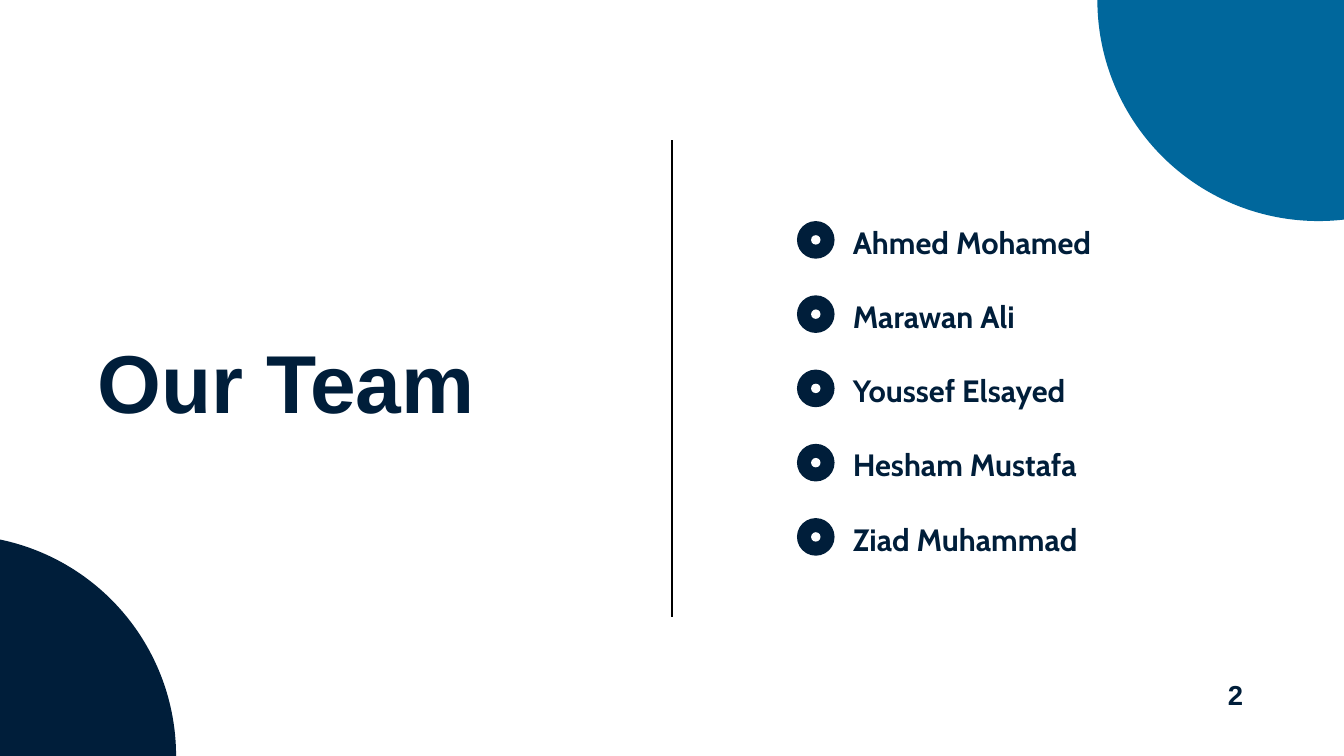
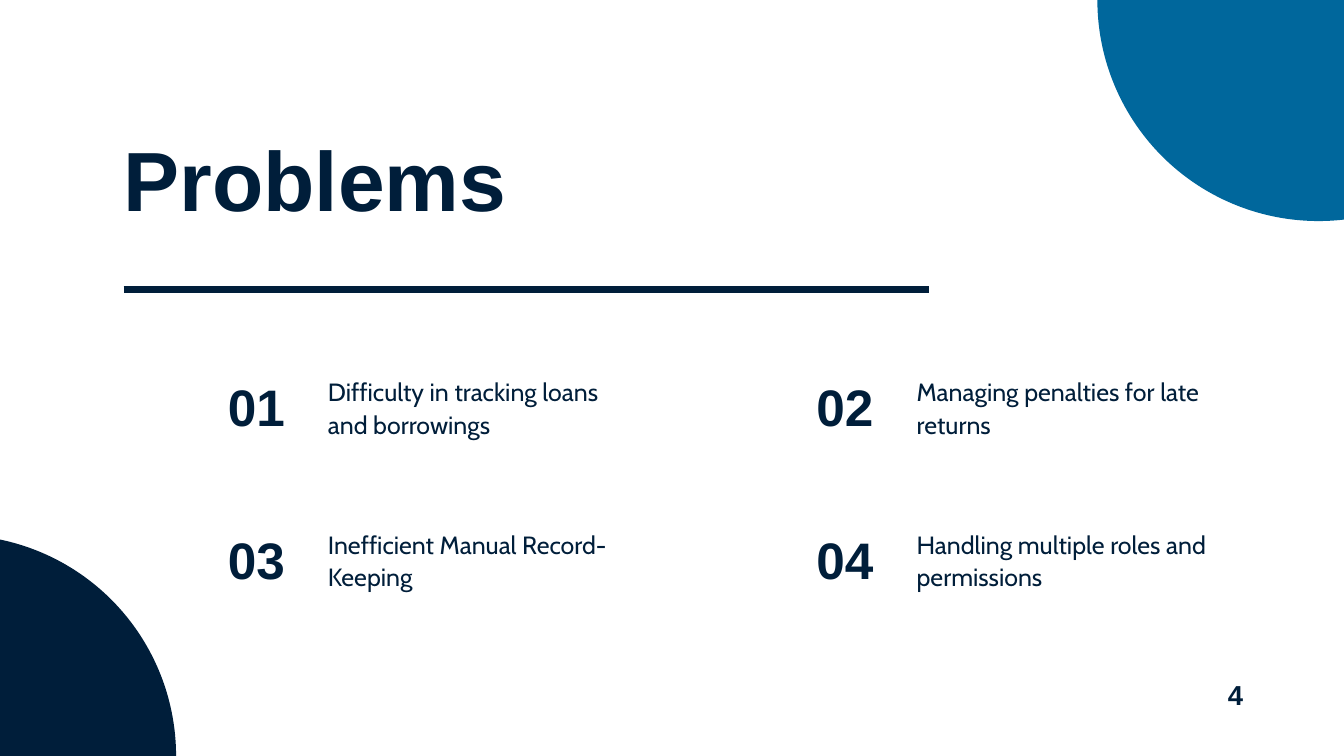
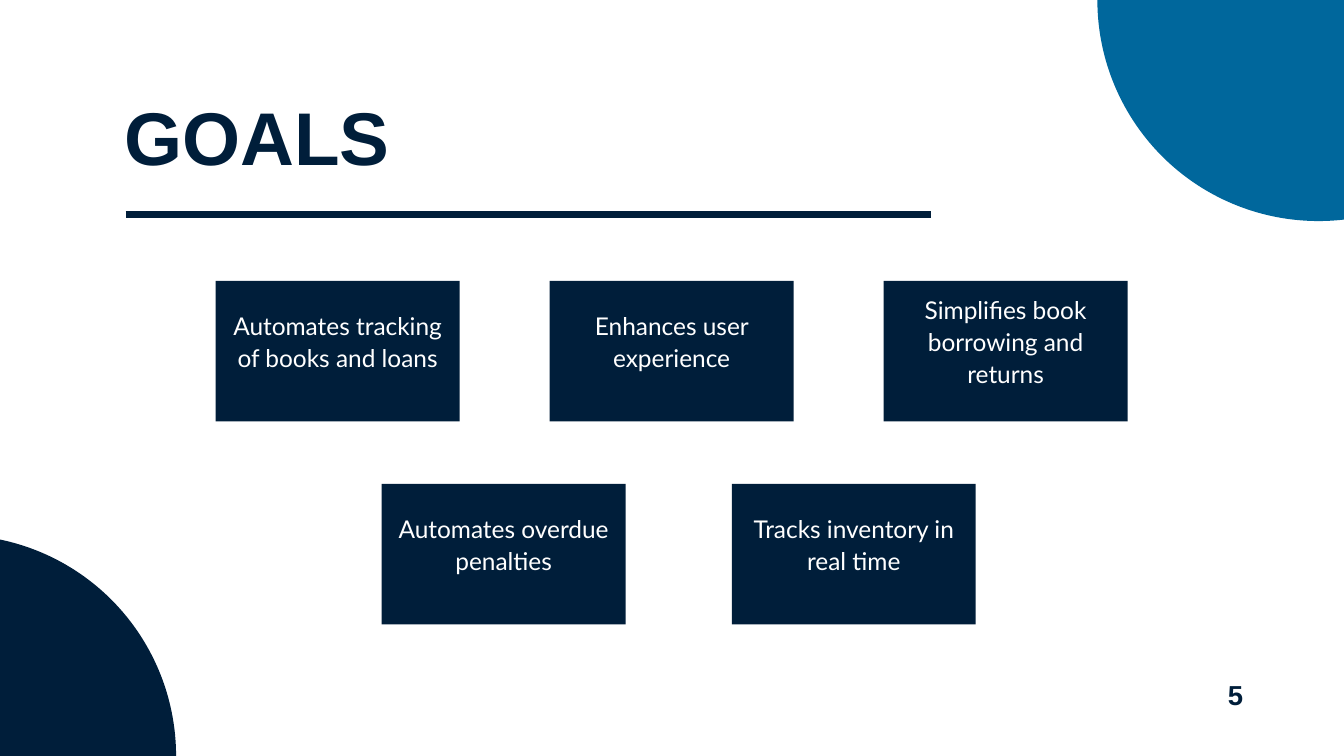
from dataclasses import dataclass

from lxml.etree import SubElement
from pptx import Presentation
from pptx.dml.color import RGBColor as RGB
from pptx.enum.shapes import MSO_CONNECTOR as LINK, MSO_SHAPE as SHAPE
from pptx.enum.text import MSO_ANCHOR as ANCHOR, MSO_AUTO_SIZE as AUTO, PP_ALIGN as ALIGN
from pptx.oxml.ns import qn
from pptx.util import Inches, Pt


@dataclass(frozen=True)
class Type:
    font: str
    size: float
    lead: float
    color: RGB
    bold: bool = False


class Theme:
    navy = RGB(0x00, 0x1E, 0x3A)
    blue = RGB(0x00, 0x67, 0x9C)
    white = RGB(0xFF, 0xFF, 0xFF)
    black = RGB(0x00, 0x00, 0x00)

    team = Type("Arial", 88, 96.8, navy, True)
    head = Type("Arial", 90, 108, navy, True)
    caps = Type("Arial", 80, 88, navy, True)
    name = Type("Cabin", 33, 46.2, navy, True)
    count = Type("Arial", 55, 66, navy, True)
    body = Type("Cabin", 26.7, 34.7, navy)
    card = Type("Lato", 26.2, 34, white)
    page = Type("Arial", 29.4, 24.4, navy, True)


class Deck:
    """Holds the presentation, the theme and the current slide."""

    def __init__(self, theme):
        self.theme = theme
        self.show = Presentation()
        self.show.slide_width = Inches(20)
        self.show.slide_height = Inches(11.25)
        self.slide = None

    def start(self, page, layout):
        """Add a slide with its corner discs and page number."""
        self.slide = self.show.slides.add_slide(self.show.slide_layouts[layout])
        self.disc(19.62, 0, 3.29, self.theme.blue)
        self.disc(-0.67, 11.25, 3.29, self.theme.navy)
        self.text(page, 18.08, 10.24, 0.61, 0.37, self.theme.page, ALIGN.CENTER)

    def letter(self, frame, text, style, align=ALIGN.LEFT, gap=0,
               anchor=ANCHOR.TOP, inset=(0, 0, 0, 0)):
        """Set the text of a frame and format its runs."""
        frame.text = text
        frame.word_wrap = True
        frame.auto_size = AUTO.NONE
        frame.vertical_anchor = anchor
        (frame.margin_left, frame.margin_top,
         frame.margin_right, frame.margin_bottom) = map(Inches, inset)
        for par in frame.paragraphs:
            par.alignment = align
            par.line_spacing = Pt(style.lead)
            par.space_before = Pt(0)
            par.space_after = Pt(gap)
            for run in par.runs:
                run.font.name = style.font
                run.font.size = Pt(style.size)
                run.font.bold = style.bold
                run.font.color.rgb = style.color

    def place(self, shape, x, y, w, h):
        shape.left, shape.top = Inches(x), Inches(y)
        shape.width, shape.height = Inches(w), Inches(h)

    def title(self, text, x, y, w, h, style):
        shape = self.slide.shapes.title
        self.place(shape, x, y, w, h)
        self.letter(shape.text_frame, text, style)

    def names(self, items, x, y, w, h, gap):
        """Fill the body placeholder, without its own bullets."""
        shape = self.slide.placeholders[1]
        self.place(shape, x, y, w, h)
        self.letter(shape.text_frame, "\n".join(items), self.theme.name, gap=gap)
        for par in shape.text_frame.paragraphs:
            props = par._p.get_or_add_pPr()
            props.set("marL", "0")
            props.set("indent", "0")
            SubElement(props, qn("a:buNone"))

    def text(self, text, x, y, w, h, style, align=ALIGN.LEFT):
        box = self.slide.shapes.add_textbox(Inches(x), Inches(y), Inches(w), Inches(h))
        self.letter(box.text_frame, text, style, align)

    def shape(self, kind, x, y, w, h, color):
        shape = self.slide.shapes.add_shape(
            kind, Inches(x), Inches(y), Inches(w), Inches(h))
        shape.shadow.inherit = False
        shape.fill.solid()
        shape.fill.fore_color.rgb = color
        shape.line.fill.background()
        return shape

    def disc(self, x, y, r, color):
        """Draw a circle around the centre x, y."""
        self.shape(SHAPE.OVAL, x - r, y - r, 2 * r, 2 * r, color)

    def card(self, text, x, y, w, h):
        box = self.shape(SHAPE.RECTANGLE, x, y, w, h, self.theme.navy)
        # The deeper lower inset lifts the text above the middle
        self.letter(box.text_frame, text, self.theme.card, ALIGN.CENTER,
                    anchor=ANCHOR.MIDDLE, inset=(0.25, 0, 0.25, 0.32))

    def rule(self, x1, y1, x2, y2, color, width):
        line = self.slide.shapes.add_connector(
            LINK.STRAIGHT, Inches(x1), Inches(y1), Inches(x2), Inches(y2))
        line.line.color.rgb = color
        line.line.width = Pt(width)
        SubElement(line._element.spPr, qn("a:effectLst"))


def team(deck):
    look = deck.theme
    deck.start("2", layout=1)
    deck.title("Our Team", 1.45, 5.05, 7.72, 1.36, look.team)
    deck.rule(10, 9.18, 10, 2.08, look.black, 3)

    # Names share one pitch with their ring markers
    people = ["Ahmed Mohamed", "Marawan Ali", "Youssef Elsayed",
              "Hesham Mustafa", "Ziad Muhammad"]
    pitch = 4.42 / (len(people) - 1)
    deck.names(people, 12.69, 3.23, 4.43, 5.04, pitch * 72 - look.name.lead)
    for i in range(len(people)):
        y = 3.57 + i * pitch
        deck.disc(12.14, y, 0.28, look.navy)
        deck.disc(12.14, y, 0.07, look.white)


def issues(deck):
    look = deck.theme
    deck.start("4", layout=5)
    deck.title("Problems", 1.84, 1.89, 13.95, 1.5, look.head)
    deck.rule(1.84, 4.31, 13.83, 4.31, look.navy, 8.25)

    # Two by two grid of numbered points
    points = ["Difficulty in tracking loans and borrowings",
              "Managing penalties for late returns",
              "Inefficient Manual Record-Keeping",
              "Handling multiple roles and permissions"]
    for i, point in enumerate(points):
        row, col = divmod(i, 2)
        x, y = 3.39 + col * 8.76, 5.59 + row * 2.27
        deck.text(f"{i + 1:02}", x, y, 1.03, 0.92, look.count)
        deck.text(point, x + 1.49, y - 0.02, 4.44, 0.94, look.body)


def goals(deck):
    look = deck.theme
    deck.start("5", layout=5)
    deck.title("GOALS", 1.85, 1.47, 9.97, 1.25, look.caps)
    deck.rule(1.87, 3.19, 13.85, 3.19, look.navy, 8.25)

    # Each row: left edge, top, step, texts
    rows = [(3.21, 4.18, 4.97, ["Automates tracking of books and loans",
                                "Enhances user experience",
                                "Simplifies book borrowing and returns"]),
            (5.68, 7.2, 5.21, ["Automates overdue penalties",
                               "Tracks inventory in real time"])]
    for x, y, step, texts in rows:
        for i, text in enumerate(texts):
            deck.card(text, x + i * step, y, 3.63, 2.09)


def main():
    deck = Deck(Theme())
    team(deck)
    issues(deck)
    goals(deck)
    deck.show.save("out.pptx")


if __name__ == "__main__":
    main()
